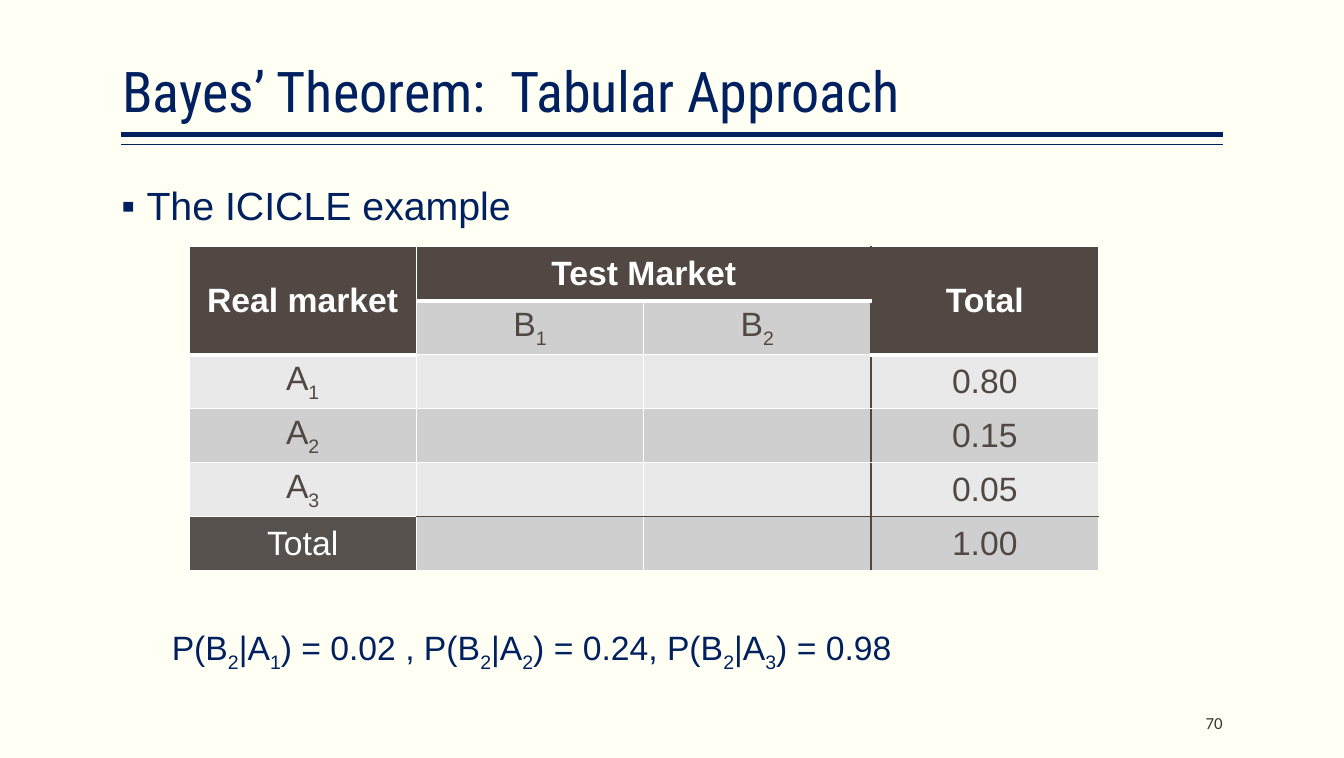
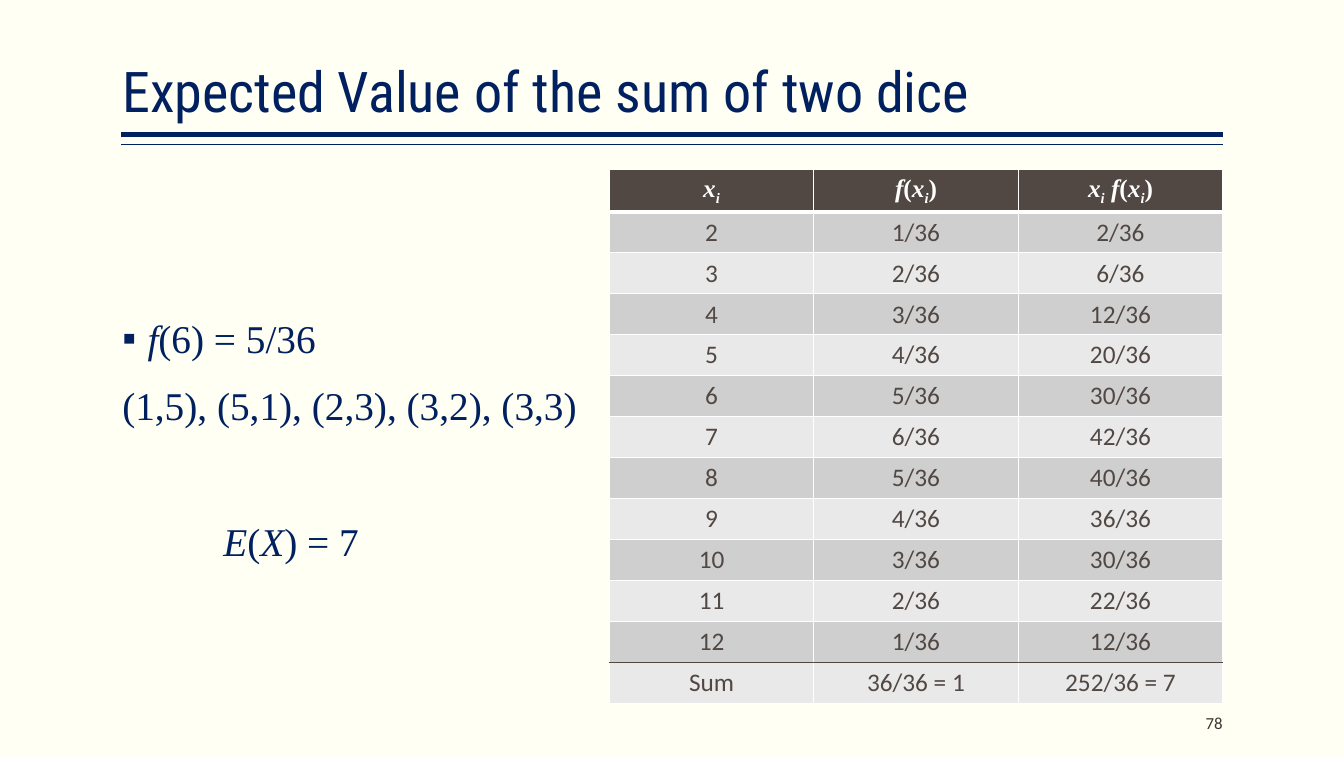
from itertools import groupby

from lxml.etree import SubElement
from pptx import Presentation
from pptx.dml.color import RGBColor
from pptx.enum.shapes import MSO_CONNECTOR as Connector
from pptx.enum.text import MSO_ANCHOR as Anchor, MSO_AUTO_SIZE as AutoSize, PP_ALIGN as Align
from pptx.oxml.ns import qn
from pptx.util import Pt

EMU_PER_PX = 9144  # 100 px to the inch

NAVY = RGBColor(0x00, 0x20, 0x60)
IVORY = RGBColor(0xFF, 0xFF, 0xF3)
WHITE = RGBColor(0xFF, 0xFF, 0xFF)
BROWN = RGBColor(0x51, 0x48, 0x43)
OLIVE = RGBColor(0x56, 0x51, 0x4D)
MID_GREY = RGBColor(0xD0, 0xCF, 0xCF)
PALE_GREY = RGBColor(0xE9, 0xE9, 0xE9)
NUMBER_COLOUR = RGBColor(0x3D, 0x36, 0x32)

TITLE_FONT, SANS, SERIF, NUMBER_FONT = "Roboto Condensed", "Arial", "Times New Roman", "Calibri"

THIN, THICK, DARK = (WHITE, 1), (WHITE, 3), (BROWN, 1)

LEFT, RIGHT = 120, 1210
TITLE_BOX = (121, 8, 1089, 120)
NUMBER_BOX = (1010, 695, 200, 40)


def px(length):
    return int(length * EMU_PER_PX)


# ---- Text ----
def split_marks(text):
    """Yield (character, italic, subscript): *...* is italic, _ lowers the next character."""
    italic = lowered = False
    for char in text:
        if char == "*":
            italic = not italic
        elif char == "_":
            lowered = True
        else:
            yield char, italic, lowered
            lowered = False


def write(para, text, font, size, colour, bold=False):
    for (italic, lowered), chars in groupby(split_marks(text), key=lambda mark: mark[1:]):
        run = para.add_run()
        run.text = "".join(char for char, *_ in chars)
        run.font.name, run.font.size = font, Pt(size)
        run.font.color.rgb = colour
        run.font.bold, run.font.italic = bold, italic
        if lowered:
            run.font._element.set("baseline", "-25000")


def set_frame(frame, anchor=Anchor.TOP):
    frame.word_wrap = True
    frame.auto_size = AutoSize.NONE
    frame.vertical_anchor = anchor
    frame.margin_left = frame.margin_right = 0
    frame.margin_top = frame.margin_bottom = px(5)


def add_text(page, box, anchor=Anchor.TOP):
    frame = page.shapes.add_textbox(*map(px, box)).text_frame
    set_frame(frame, anchor)
    return frame


def add_bullet(para):
    props = para._p.get_or_add_pPr()
    props.set("marL", str(px(25)))
    props.set("indent", str(px(-25)))
    SubElement(props, qn("a:buFont"), typeface=SANS)
    SubElement(props, qn("a:buChar"), char="▪")


def add_body(page, box, lines, font, size):
    """Lines are (text, space before, bulleted, left indent)."""
    frame = add_text(page, box)
    for index, (text, before, bulleted, indent) in enumerate(lines):
        para = frame.add_paragraph() if index else frame.paragraphs[0]
        if bulleted:
            add_bullet(para)
        elif indent:
            para._p.get_or_add_pPr().set("marL", str(px(indent)))
        para.line_spacing = 0.9
        para.space_before = Pt(before)
        write(para, text, font, size, NAVY)


# ---- Shared page: background, title, double rule, number ----
def add_rule(page, y, width):
    rule = page.shapes.add_connector(Connector.STRAIGHT, px(LEFT), px(y), px(RIGHT), px(y))
    rule.line.color.rgb = NAVY
    rule.line.width = Pt(width)
    SubElement(rule._element.spPr, qn("a:effectLst"))


def add_page(deck, title_text, number):
    page = deck.slides.add_slide(deck.slide_layouts[5])
    title = page.shapes.title
    title.left, title.top, title.width, title.height = map(px, TITLE_BOX)
    set_frame(title.text_frame, Anchor.BOTTOM)
    para = title.text_frame.paragraphs[0]
    para.alignment = Align.LEFT
    para.line_spacing = 0.9
    write(para, title_text, TITLE_FONT, 40, NAVY)

    add_rule(page, 133, 3)
    add_rule(page, 143, 1)

    para = add_text(page, NUMBER_BOX, Anchor.MIDDLE).paragraphs[0]
    para.alignment = Align.RIGHT
    write(para, str(number), NUMBER_FONT, 12, NUMBER_COLOUR)
    return page


# ---- Tables ----
def set_borders(cell, edges):
    props = cell._tc.get_or_add_tcPr()
    for side, (colour, width) in zip("LRTB", edges):
        line = SubElement(props, qn(f"a:ln{side}"), w=str(Pt(width)))
        fill = SubElement(line, qn("a:solidFill"))
        SubElement(fill, qn("a:srgbClr"), val=str(colour))


def add_grid(page, box, rows, size, look, edge_left, edge_above, merges=()):
    """look gives fill, font, text colour and bold; the edge rules give colour and width."""
    left, top, width, height = map(px, box)
    row_count, column_count = len(rows), len(rows[0])
    table = page.shapes.add_table(row_count, column_count, left, top, width, height).table
    table.first_row = table.horz_banding = False
    for column in table.columns:
        column.width = width // column_count
    for row in table.rows:
        row.height = height // row_count
    for first, last in merges:
        table.cell(*first).merge(table.cell(*last))

    for r, texts in enumerate(rows):
        for c, text in enumerate(texts):
            cell = table.cell(r, c)
            fill, font, colour, bold = look(r, c)
            set_borders(cell, (edge_left(r, c), edge_left(r, c + 1),
                               edge_above(r, c), edge_above(r + 1, c)))
            cell.fill.solid()
            cell.fill.fore_color.rgb = fill
            cell.vertical_anchor = Anchor.MIDDLE
            para = cell.text_frame.paragraphs[0]
            para.alignment = Align.CENTER
            write(para, text, font, size, colour, bold)


def add_market_table(page, box):
    rows = [
        ("Real market", "Test Market", "", "Total"),
        ("", "B_1", "B_2", ""),
        ("A_1", "", "", "0.80"),
        ("A_2", "", "", "0.15"),
        ("A_3", "", "", "0.05"),
        ("Total", "", "", "1.00"),
    ]
    merges = [((0, 0), (1, 0)), ((0, 1), (0, 2)), ((0, 3), (1, 3))]

    def look(r, c):
        if r == 0 or (r == 1 and c in (0, 3)):
            return BROWN, SANS, WHITE, True
        if (r, c) == (5, 0):
            return OLIVE, SANS, WHITE, False
        return (MID_GREY if r % 2 else PALE_GREY), SANS, BROWN, False

    def edge_left(r, c):
        return DARK if c == 3 or (r, c) == (0, 2) else THIN

    def edge_above(r, c):
        if r == 1 or (r == 2 and c in (0, 3)):
            return THICK
        return DARK if r == 5 and c > 0 else THIN

    add_grid(page, box, rows, 24, look, edge_left, edge_above, merges)


def add_dice_table(page, box):
    rows = [("*x_i*", "*f*(*x_i*)", "*x_i f*(*x_i*)")]
    for total in range(2, 13):
        ways = 6 - abs(total - 7)
        rows.append((str(total), f"{ways}/36", f"{total * ways}/36"))
    rows.append(("Sum", "36/36 = 1", "252/36 = 7"))

    def look(r, c):
        if r == 0:
            return BROWN, SERIF, WHITE, True
        return (MID_GREY if r % 2 else PALE_GREY), NUMBER_FONT, BROWN, False

    def edge_left(r, c):
        return THIN

    def edge_above(r, c):
        return {1: THICK, len(rows) - 1: DARK}.get(r, THIN)

    add_grid(page, box, rows, 18, look, edge_left, edge_above)


# ---- Slides ----
def add_bayes_slide(deck):
    page = add_page(deck, "Bayes’ Theorem:  Tabular Approach", 70)
    add_body(page, (120, 180, 1089, 55), [("The ICICLE example", 0, True, 0)], SANS, 28)
    add_market_table(page, (187, 244, 900, 321))
    formula = "P(B_2|A_1) = 0.02 , P(B_2|A_2) = 0.24, P(B_2|A_3) = 0.98"
    add_body(page, (170, 616, 1039, 50), [(formula, 0, False, 0)], SANS, 24)


def add_dice_slide(deck):
    page = add_page(deck, "Expected Value of the sum of two dice", 78)
    add_dice_table(page, (603, 168, 607, 527))
    lines = [
        ("*f*(6) = 5/36", 0, True, 0),
        ("(1,5), (5,1), (2,3), (3,2), (3,3)", 18, False, 0),
        ("*E*(*X*) = 7", 66, False, 100),
    ]
    add_body(page, (121, 311, 471, 364), lines, SERIF, 28)


def main():
    deck = Presentation()
    deck.slide_width, deck.slide_height = px(1330), px(750)
    background = deck.slide_master.background.fill
    background.solid()
    background.fore_color.rgb = IVORY
    add_bayes_slide(deck)
    add_dice_slide(deck)
    deck.save("out.pptx")


if __name__ == "__main__":
    main()
